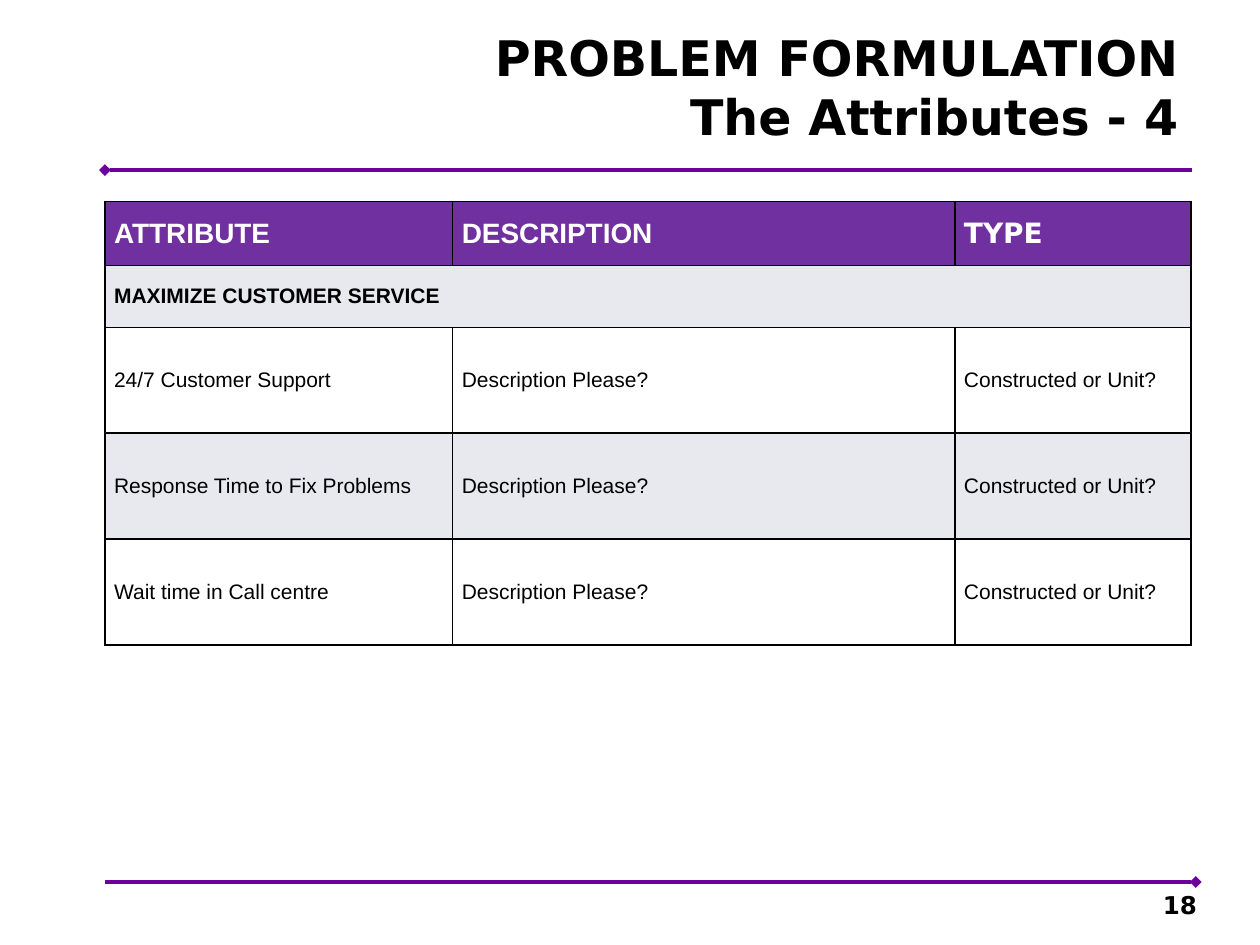
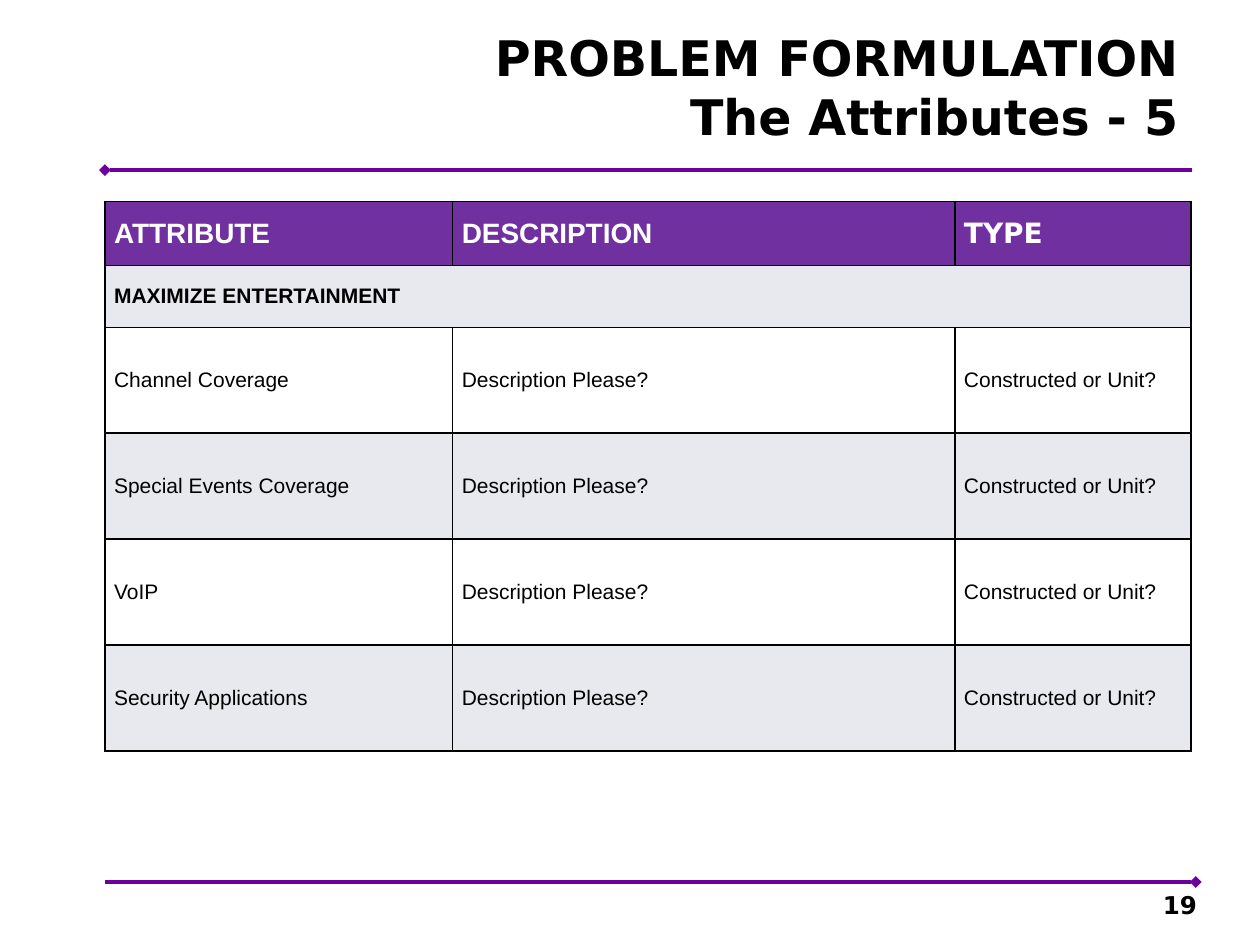
"""Build two attribute table slides with a shared title, rules and page number."""
from lxml import etree
from pptx import Presentation, oxml
from pptx.dml.color import RGBColor
from pptx.enum import shapes, text
from pptx.oxml import ns
from pptx.util import Pt

HEAD = ["ATTRIBUTE", "DESCRIPTION", "TYPE"]
ASK = ["Description Please?", "Constructed or Unit?"]
PAGES = [
    {"part": 4, "page": 18, "goal": "MAXIMIZE CUSTOMER SERVICE",
     "items": ["24/7 Customer Support", "Response Time to Fix Problems",
               "Wait time in Call centre"]},
    {"part": 5, "page": 19, "goal": "MAXIMIZE ENTERTAINMENT",
     "items": ["Channel Coverage", "Special Events Coverage", "VoIP",
               "Security Applications"]},
]

RULE = RGBColor(0x6D, 0x00, 0x9D)
BAND = RGBColor(0x70, 0x30, 0xA0)
GREY = RGBColor(0xE8, 0xE8, 0xEF)
WHITE = RGBColor(0xFF, 0xFF, 0xFF)
BLACK = RGBColor(0, 0, 0)
SANS, WIDE = "Arial", "DejaVu Sans"

LEFT = 60
COLS = [198.7, 287, 135]
TOP, HEAD_H, GOAL_H, ITEM_H = 115.2, 36.5, 35.4, 60.5
BORDER = ('<a:{} %s w="12700"><a:solidFill><a:srgbClr val="{}"/>'
          '</a:solidFill></a:{}>' % ns.nsdecls("a"))


def style(para, name, size, color, bold=True):
    font = para.font
    font.name, font.size, font.bold = name, Pt(size), bold
    font.color.rgb = color


def write(frame, words, size, right):
    frame.word_wrap = True
    frame.auto_size = text.MSO_AUTO_SIZE.NONE
    frame.margin_left, frame.margin_right = Pt(7.2), Pt(right)
    frame.margin_top = frame.margin_bottom = Pt(3.6)
    frame.text = words
    para = frame.paragraphs[0]
    para.alignment = text.PP_ALIGN.RIGHT
    style(para, WIDE, size, BLACK)


def add_rule(slide, end, y, tip):
    rule = slide.shapes.add_connector(
        shapes.MSO_CONNECTOR.STRAIGHT, Pt(LEFT), Pt(y), Pt(end), Pt(y))
    rule.line.color.rgb = RULE
    rule.line.width = Pt(2.25)
    etree.SubElement(rule.line._get_or_add_ln(), ns.qn("a:" + tip), type="diamond")
    etree.SubElement(rule._element.spPr, ns.qn("a:effectLst"))


def add_frame(slide, part, page):
    add_rule(slide, 681, 97.2, "headEnd")
    add_rule(slide, 683.3, 504, "tailEnd")
    title = slide.shapes.title
    title.left, title.top, title.width, title.height = map(Pt, (190, 12.2, 490.4, 79.2))
    title.text_frame.vertical_anchor = text.MSO_ANCHOR.TOP
    write(title.text_frame, f"PROBLEM FORMULATION\vThe Attributes - {part}", 28, 7.2)
    box = slide.shapes.add_textbox(*map(Pt, (516.2, 508.3, 167.8, 20.9)))
    box.text_frame.vertical_anchor = text.MSO_ANCHOR.BOTTOM
    write(box.text_frame, str(page), 14, 0)


def fill_cell(cell, words, fill, name, size, color, bold):
    cell.margin_left = cell.margin_right = Pt(5.2)
    cell.margin_top = cell.margin_bottom = 0
    cell.vertical_anchor = text.MSO_ANCHOR.MIDDLE
    cell.fill.solid()
    cell.fill.fore_color.rgb = fill
    cell.text = words
    style(cell.text_frame.paragraphs[0], name, size, color, bold)
    for spot, side in enumerate(("lnL", "lnR", "lnT", "lnB")):
        edge = oxml.parse_xml(BORDER.format(side, BLACK, side))
        cell._tc.get_or_add_tcPr().insert(spot, edge)


def add_grid(slide, goal, items):
    rows = [HEAD, [goal, "", ""]] + [[item] + ASK for item in items]
    tall = [HEAD_H, GOAL_H] + [ITEM_H] * len(items)
    grid = slide.shapes.add_table(
        len(rows), len(COLS), Pt(LEFT), Pt(TOP), Pt(sum(COLS)), Pt(sum(tall))).table
    grid.horz_banding = False
    for col, wide in zip(grid.columns, COLS):
        col.width = Pt(wide)
    for r, row in enumerate(rows):
        grid.rows[r].height = Pt(tall[r])
        for c, words in enumerate(row):
            if r == 0:
                look = BAND, WIDE if words == "TYPE" else SANS, 16, WHITE, True
            else:
                look = GREY if r % 2 else WHITE, SANS, 12, BLACK, r == 1
            fill_cell(grid.cell(r, c), words, *look)
    grid.cell(1, 0).merge(grid.cell(1, len(COLS) - 1))


deck = Presentation()
deck.slide_width, deck.slide_height = Pt(720), Pt(540)
for spread in PAGES:
    slide = deck.slides.add_slide(deck.slide_layouts[5])
    add_frame(slide, spread["part"], spread["page"])
    add_grid(slide, spread["goal"], spread["items"])
deck.save("out.pptx")
